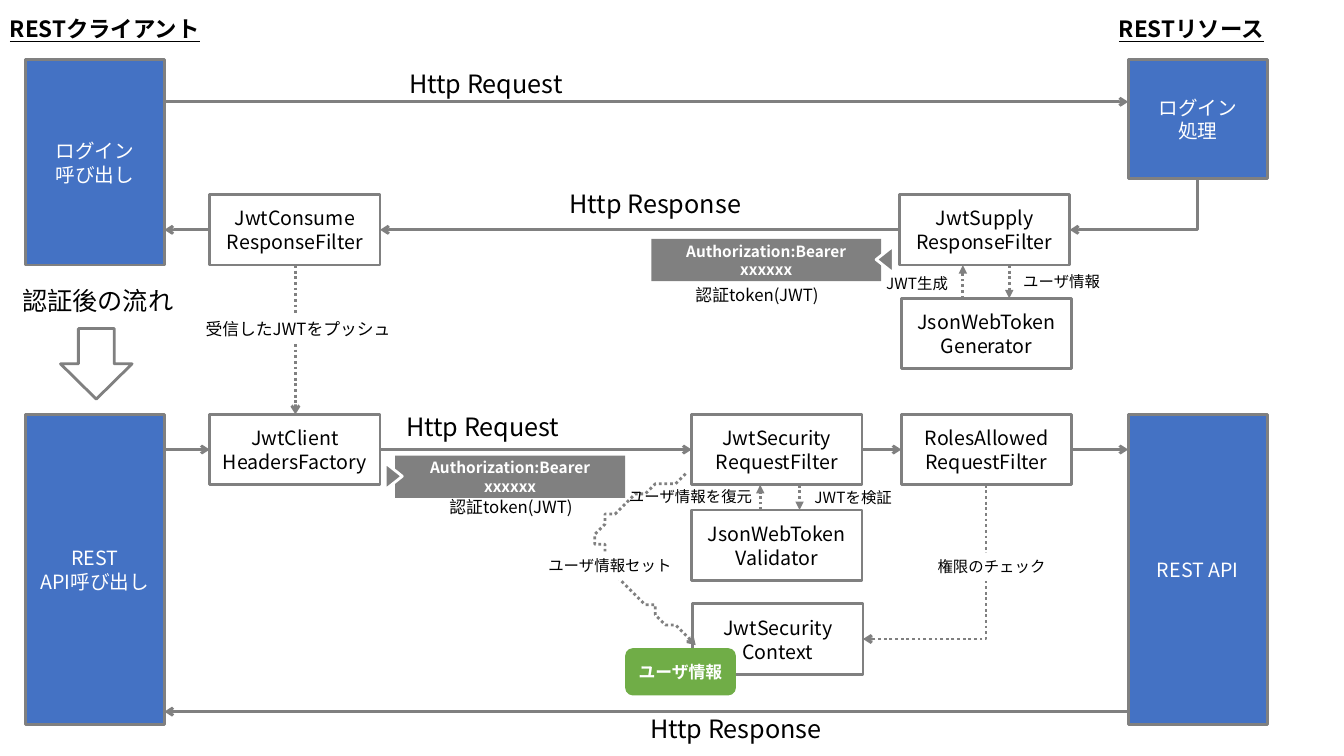
from collections import namedtuple
from dataclasses import dataclass

from lxml.etree import SubElement
from pptx import Presentation
from pptx.dml.color import RGBColor as RGB
from pptx.enum.dml import MSO_LINE
from pptx.enum.shapes import MSO_CONNECTOR as CONN, MSO_SHAPE as SHAPE
from pptx.enum.text import MSO_ANCHOR as ANCHOR, PP_ALIGN as ALIGN
from pptx.oxml.ns import qn
from pptx.util import Inches, Pt


@dataclass(frozen=True)
class Theme:
    blue: str = "4472C4"
    gray: str = "808080"
    green: str = "70AD47"
    white: str = "FFFFFF"
    black: str = "000000"
    japanese: str = "Noto Sans CJK JP"
    latin: str = "Noto Sans CJK KR"
    flow: int = 18
    heading: int = 16
    node: int = 14
    note: int = 12
    small: int = 11
    line: int = 2
    leading: float = 1.22


T = Theme()
GRID = 0.1
CLIENT, SENDER, GUARD, ROLES, RESOURCE = 2.5, 20.8, 68.6, 89.4, 111.9
END_W, NODE_W, NODE_H = 13.8, 16.9, 7
CLIENT_R, SENDER_R, GUARD_R, ROLES_R = CLIENT + END_W, SENDER + NODE_W, GUARD + NODE_W, ROLES + NODE_W


class Box(namedtuple("Box", "x y w h")):
    def inner(self, x, y, w, h):
        return Box(self.x + x, self.y + y, w, h)

    def emu(self):
        return [Inches(v * GRID) for v in self]


def write(sp, text, size=T.node, color=T.black, bold=False, underline=False,
          align=ALIGN.LEFT, anchor=ANCHOR.TOP, wrap=False):
    tf = sp.text_frame
    tf.word_wrap = wrap
    tf.vertical_anchor = anchor
    for i, line in enumerate(text.split("\n")):
        p = tf.add_paragraph() if i else tf.paragraphs[0]
        p.alignment = align
        p.line_spacing = Pt(size * T.leading)
        r = p.add_run()
        r.text = line
        f = r.font
        f.size, f.bold, f.underline = Pt(size), bold, underline
        f.color.rgb = RGB.from_string(color)
        f.name = T.latin if line.isascii() else T.japanese
        SubElement(r._r.get_or_add_rPr(), qn("a:ea"), typeface=f.name)


def paint(sp, fill=None, line=None):
    sp.shadow.inherit = False
    if fill:
        sp.fill.solid()
        sp.fill.fore_color.rgb = RGB.from_string(fill)
    else:
        sp.fill.background()
    if line:
        stroke(sp.line, line)
    else:
        sp.line.fill.background()


def stroke(line, color=T.gray, dotted=False, head=None):
    line.color.rgb = RGB.from_string(color)
    line.width = Pt(T.line)
    if dotted:
        line.dash_style = MSO_LINE.ROUND_DOT
    if head:
        SubElement(line._get_or_add_ln(), qn("a:tailEnd"), type=head)


def shape(s, box, kind=SHAPE.RECTANGLE, fill=None, line=None, text=None, **fmt):
    sp = s.shapes.add_shape(kind, *box.emu())
    paint(sp, fill, line)
    if text:
        write(sp, text, **{"align": ALIGN.CENTER, "anchor": ANCHOR.MIDDLE, "wrap": True, **fmt})
    return sp


def node(s, box, x, y, text):
    shape(s, box.inner(x, y, NODE_W, NODE_H), line=T.gray, text=text)


def endpoint(s, box, x, h, text):
    shape(s, box.inner(x, 0, END_W, h), fill=T.blue, line=T.gray, text=text, color=T.white)


def label(s, box, x, y, w, text, size=T.small, fill=None, **fmt):
    sp = s.shapes.add_textbox(*box.inner(x, y, w, size / 7.2 * 1.2 + 1).emu())
    if fill:
        paint(sp, fill)
    write(sp, text, size=size, **fmt)


def arrow(s, box, x1, y1, x2, y2, dotted=False, head="arrow", corner=False):
    ends = [x1, y1, x2, y2]
    if corner:
        cx, cy, dx, dy = (x1 + x2) / 2, (y1 + y2) / 2, abs(x2 - x1) / 2, abs(y2 - y1) / 2
        ends = [cx - dy, cy - dx, cx + dy, cy + dx]
    pts = [Inches((v + o) * GRID) for v, o in zip(ends, (box.x, box.y) * 2)]
    c = s.shapes.add_connector(CONN.ELBOW if corner else CONN.STRAIGHT, *pts)
    stroke(c.line, dotted=dotted, head=head)
    pr = c._element.spPr
    SubElement(pr, qn("a:effectLst"))
    if corner:
        pr.find(qn("a:prstGeom")).set("prst", "bentConnector2")
        pr.find(qn("a:xfrm")).set("rot", str(90 * 60000))


def curve(s, box, start, *segments):
    pts, p0 = [], start
    for p1, p2, p3 in segments:
        for t in (i / 16 for i in range(1, 17)):
            u = 1 - t
            pts.append([o + u**3 * a + 3 * u * u * t * b + 3 * u * t * t * c + t**3 * d
                        for o, a, b, c, d in zip(box[:2], p0, p1, p2, p3)])
        p0 = p3
    fb = s.shapes.build_freeform(box.x + start[0], box.y + start[1], scale=Inches(GRID))
    fb.add_line_segments(pts, close=False)
    sp = fb.convert_to_shape()
    paint(sp)
    stroke(sp.line, dotted=True, head="arrow")


def token(s, box, x, y, note_x, note_y, tip_x, tip_y, turn):
    shape(s, box.inner(x, y, 22.8, 4.2), fill=T.gray, text="Authorization:Bearer xxxxxx",
          size=T.small, color=T.white, bold=True)
    sp = shape(s, box.inner(tip_x, tip_y, 2.7, 1.7), SHAPE.ISOSCELES_TRIANGLE, T.gray, T.white)
    sp.rotation = turn
    label(s, box, note_x, note_y, 15.4, "認証token(JWT)", T.note)


def headings(s, box):
    for x, w, text in ((0, 21.9, "RESTクライアント"), (110, 17.6, "RESTリソース")):
        label(s, box, x, 0, w, text, T.heading, bold=True, underline=True)


def login_flow(s, box):
    endpoint(s, box, CLIENT, 20.4, "ログイン\n呼び出し")
    endpoint(s, box, RESOURCE, 11.8, "ログイン\n処理")
    node(s, box, 89.2, 13.4, "JwtSupply\nResponseFilter")
    node(s, box, ROLES, 23.7, "JsonWebToken\nGenerator")
    node(s, box, SENDER, 13.4, "JwtConsume\nResponseFilter")
    arrow(s, box, CLIENT_R, 4.2, RESOURCE, 4.2)
    arrow(s, box, RESOURCE + END_W / 2, 11.8, ROLES_R - 0.2, 16.9, corner=True)
    for x1, x2 in ((89.2, SENDER_R), (SENDER, CLIENT_R)):
        arrow(s, box, x1, 16.9, x2, 16.9)
    arrow(s, box, 100.1, 20.4, 100.1, 23.7, True, "triangle")
    arrow(s, box, 95.5, 23.7, 95.5, 20.4, True, "triangle")
    token(s, box, 64.6, 17.8, 68, 21.8, 86.4, 19, 270)
    label(s, box, 39.6, 0.3, 17.5, "Http Request", T.flow)
    label(s, box, 55.5, 12.2, 19.3, "Http Response", T.flow)
    label(s, box, 100.5, 20.6, 9.7, "ユーザ情報")
    label(s, box, 86.9, 20.8, 8.7, "JWT生成")


def handover(s, box):
    label(s, box, 1.2, 1.5, 17.2, "認証後の流れ", T.flow)
    shape(s, box.inner(6, 6.3, 7.1, 7), SHAPE.DOWN_ARROW, line=T.gray)
    arrow(s, box, 29.3, 0, 29.3, box.h, True)
    label(s, box, 19.4, 4.8, 21.1, "受信したJWTをプッシュ", T.note, T.white, wrap=True)


def api_flow(s, box):
    endpoint(s, box, CLIENT, box.h, "REST\nAPI呼び出し")
    endpoint(s, box, RESOURCE, box.h, "REST API")
    for x, y, text in ((SENDER, 0, "JwtClient\nHeadersFactory"),
                       (GUARD, 0, "JwtSecurity\nRequestFilter"),
                       (ROLES, 0, "RolesAllowed\nRequestFilter"),
                       (GUARD, 9.5, "JsonWebToken\nValidator"),
                       (GUARD + 0.1, 18.8, "JwtSecurity\nContext")):
        node(s, box, x, y, text)
    for x1, x2 in ((CLIENT_R, SENDER), (SENDER_R, GUARD), (GUARD_R, ROLES), (ROLES_R, RESOURCE)):
        arrow(s, box, x1, 3.5, x2, 3.5)
    arrow(s, box, RESOURCE, 29.5, CLIENT_R, 29.5)
    arrow(s, box, 79.3, 7, 79.3, 9.5, True, "triangle")
    arrow(s, box, 75.4, 9.5, 75.4, 7, True, "triangle")
    curve(s, box, (68.5, 5.8), ((63.9, 7.7), (59.3, 9.5), (59.4, 12.3)),
          ((59.4, 15.1), (64.1, 18.9), (68.8, 22.7)))
    arrow(s, box, 97.8, 7, GUARD_R + 0.1, 22.3, True, corner=True)
    token(s, box, 39.2, 4.1, 43.6, 7.7, 37.7, 5.3, 90)
    label(s, box, 39.3, -0.8, 17.5, "Http Request", T.flow)
    label(s, box, 63.5, 29.1, 19.3, "Http Response", T.flow)
    label(s, box, 79.8, 6.8, 10.3, "JWTを検証")
    label(s, box, 61.4, 6.7, 14.4, "ユーザ情報を復元")
    label(s, box, 53.4, 13.6, 14.4, "ユーザ情報セット", fill=T.white)
    label(s, box, 92, 13.7, 12.8, "権限のチェック", fill=T.white)
    shape(s, box.inner(62, 23.2, 11, 4.7), SHAPE.ROUNDED_RECTANGLE, T.green,
          text="ユーザ情報", size=T.note, color=T.white, bold=True)


def main():
    prs = Presentation()
    prs.slide_width, prs.slide_height = Inches(13.33), Inches(7.5)
    s = prs.slides.add_slide(prs.slide_layouts[6])
    headings(s, Box(0, 1, 133.3, 3.7))
    login_flow(s, Box(0, 5.9, 133.3, 30.7))
    handover(s, Box(0, 26.3, 40.5, 14.8))
    api_flow(s, Box(0, 41.1, 133.3, 30.8))
    prs.save("out.pptx")


if __name__ == "__main__":
    main()
